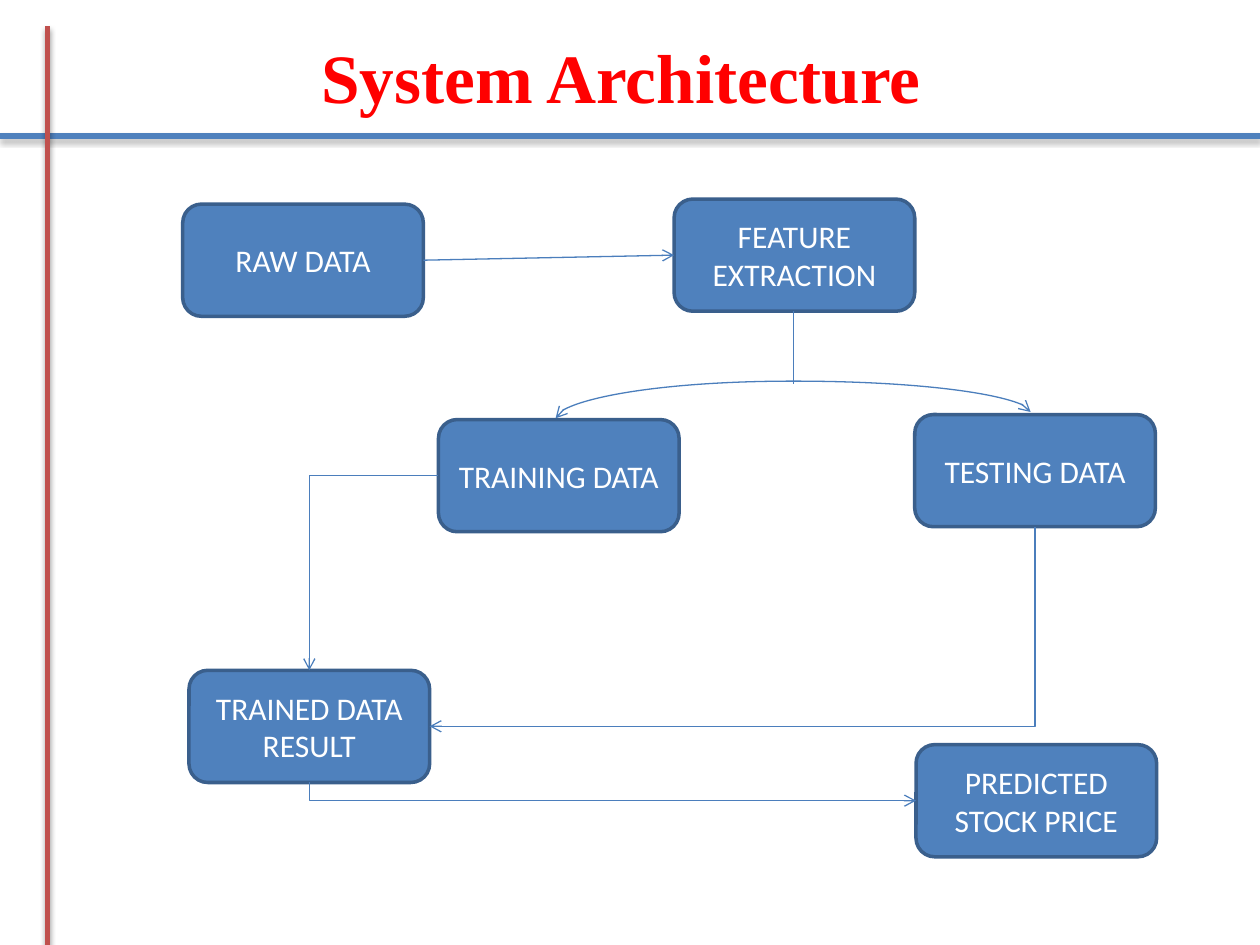
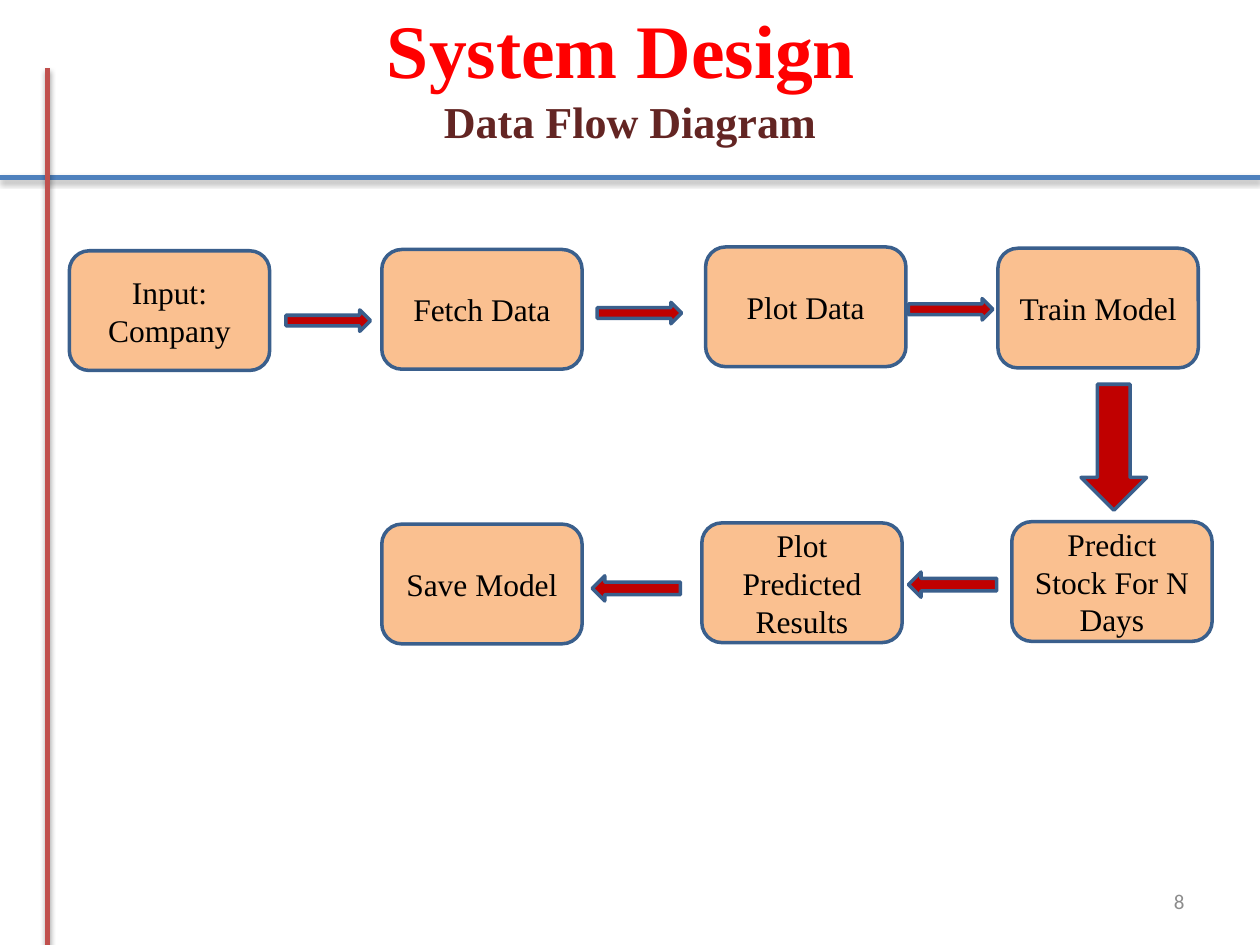
from dataclasses import dataclass
from math import cos, radians, sin

from lxml import etree
from pptx import Presentation
from pptx.dml.color import RGBColor
from pptx.enum.shapes import MSO_CONNECTOR, MSO_SHAPE
from pptx.enum.text import MSO_ANCHOR, PP_ALIGN
from pptx.oxml.ns import qn
from pptx.util import Inches, Pt

STRAIGHT, ELBOW, CURVE = MSO_CONNECTOR.STRAIGHT, MSO_CONNECTOR.ELBOW, MSO_CONNECTOR.CURVE
ROUNDED = MSO_SHAPE.ROUNDED_RECTANGLE
RIGHT_ARROW, LEFT_ARROW, DOWN_ARROW = (
    MSO_SHAPE.RIGHT_ARROW, MSO_SHAPE.LEFT_ARROW, MSO_SHAPE.DOWN_ARROW)
CENTER, RIGHT = PP_ALIGN.CENTER, PP_ALIGN.RIGHT
TOP, MIDDLE = MSO_ANCHOR.TOP, MSO_ANCHOR.MIDDLE

# Connection sites of a rounded box
SITE_TOP, SITE_LEFT, SITE_BOTTOM, SITE_RIGHT = range(4)
SITE_OFFSETS = {SITE_TOP: (0.5, 0), SITE_LEFT: (0, 0.5),
                SITE_BOTTOM: (0.5, 1), SITE_RIGHT: (1, 0.5)}
Point = tuple[float, float]


@dataclass(frozen=True)
class Theme:
    serif: str = "Times New Roman"
    sans: str = "Calibri"
    title: str = "FF0000"
    subtitle: str = "632523"
    blue: str = "4F81BD"
    outline: str = "3A5F8C"
    link: str = "4B7EBC"
    red_rule: str = "C0504D"
    peach: str = "FAC090"
    arrow: str = "C00000"
    white: str = "FFFFFF"
    black: str = "000000"
    grey: str = "8C8C8C"
    architecture_size: float = 39.6
    design_size: float = 43.2
    subtitle_size: float = 25.2
    box_size: float = 18
    number_size: float = 12


THEME = Theme()


@dataclass(frozen=True)
class TextStyle:
    font: str
    size: float
    color: str
    bold: bool = False


@dataclass(frozen=True)
class BoxStyle:
    width: float
    height: float
    fill: str
    text: TextStyle


@dataclass(frozen=True)
class Box:
    text: str
    left: float
    top: float


@dataclass(frozen=True)
class BlockArrow:
    kind: int
    left: float
    top: float
    width: float = 0.67
    height: float = 0.17


@dataclass(frozen=True)
class Link:
    source: str
    source_site: int
    target: str
    target_site: int
    kind: int = ELBOW
    rotation: int = 0


ARCHITECTURE_BOX = BoxStyle(1.91, 0.89, THEME.blue,
                            TextStyle(THEME.sans, THEME.box_size, THEME.white))
FLOW_BOX = BoxStyle(1.59, 0.95, THEME.peach,
                    TextStyle(THEME.serif, THEME.box_size, THEME.black))

ARCHITECTURE_BOXES = {
    "raw": Box("RAW DATA", 1.45, 1.62),
    "feature": Box("FEATURE\nEXTRACTION", 5.35, 1.58),
    "training": Box("TRAINING DATA", 3.48, 3.33),
    "testing": Box("TESTING DATA", 7.26, 3.29),
    "trained": Box("TRAINED DATA RESULT", 1.5, 5.32),
    "predicted": Box("PREDICTED STOCK PRICE", 7.27, 5.91),
}
ARCHITECTURE_LINKS = [
    Link("raw", SITE_RIGHT, "feature", SITE_LEFT, STRAIGHT),
    Link("training", SITE_LEFT, "trained", SITE_TOP, rotation=180),
    Link("testing", SITE_BOTTOM, "trained", SITE_RIGHT, rotation=90),
    Link("trained", SITE_BOTTOM, "predicted", SITE_LEFT, rotation=270),
]
FLOW_BOXES = [
    Box("Input: Company", 0.55, 1.99),
    Box("Fetch Data", 3.03, 1.98),
    Box("Plot Data", 5.6, 1.96),
    Box("Train Model", 7.92, 1.97),
    Box("Predict Stock For N Days", 8.03, 4.14),
    Box("Plot Predicted Results", 5.57, 4.15),
    Box("Save Model", 3.03, 4.16),
]
FLOW_ARROWS = [
    BlockArrow(RIGHT_ARROW, 2.27, 2.46),
    BlockArrow(RIGHT_ARROW, 4.74, 2.4),
    BlockArrow(RIGHT_ARROW, 7.21, 2.37),
    BlockArrow(DOWN_ARROW, 8.58, 3.05, 0.52, 1),
    BlockArrow(LEFT_ARROW, 7.21, 4.54, 0.7, 0.2),
    BlockArrow(LEFT_ARROW, 4.7, 4.57, 0.7, 0.2),
]


def write_text(frame, text: str, style: TextStyle, align: int, anchor: int) -> None:
    frame.word_wrap = True
    frame.vertical_anchor = anchor
    frame.text = text
    for paragraph in frame.paragraphs:
        paragraph.alignment = align
        font = paragraph.font
        font.name, font.size, font.bold = style.font, Pt(style.size), style.bold
        font.color.rgb = RGBColor.from_string(style.color)


def add_text(slide, text: str, left: float, top: float, width: float, height: float,
             style: TextStyle, align: int = CENTER, anchor: int = TOP) -> None:
    frame = slide.shapes.add_textbox(
        Inches(left), Inches(top), Inches(width), Inches(height)).text_frame
    frame.margin_top = frame.margin_bottom = 0
    write_text(frame, text, style, align, anchor)


def add_filled_shape(slide, kind: int, left: float, top: float,
                     width: float, height: float, fill: str):
    shape = slide.shapes.add_shape(
        kind, Inches(left), Inches(top), Inches(width), Inches(height))
    shape.shadow.inherit = False
    shape.fill.solid()
    shape.fill.fore_color.rgb = RGBColor.from_string(fill)
    shape.line.color.rgb = RGBColor.from_string(THEME.outline)
    shape.line.width = Pt(2)
    return shape


def add_box(slide, box: Box, style: BoxStyle):
    shape = add_filled_shape(slide, ROUNDED, box.left, box.top,
                             style.width, style.height, style.fill)
    write_text(shape.text_frame, box.text, style.text, CENTER, MIDDLE)
    return shape


def turn_back(point: Point, center: Point, rotation: int) -> Point:
    """Return where the point lies before the connector is rotated."""
    x, y = point[0] - center[0], point[1] - center[1]
    cosine, sine = cos(radians(rotation)), sin(radians(rotation))
    return center[0] + x * cosine + y * sine, center[1] - x * sine + y * cosine


def add_line(slide, start: Point, end: Point, color: str = THEME.link,
             width: float = 0.75, kind: int = STRAIGHT, rotation: int = 0,
             arrows: tuple[str, ...] = (), shadow: bool = False, glue=None):
    center = ((start[0] + end[0]) / 2, (start[1] + end[1]) / 2)
    begin_x, begin_y, end_x, end_y = (
        Inches(value) for point in (start, end)
        for value in turn_back(point, center, rotation))
    connector = slide.shapes.add_connector(kind, begin_x, begin_y, end_x, end_y)
    if glue:
        source, source_site, target, target_site = glue
        connector.begin_connect(source, source_site)
        connector.end_connect(target, target_site)
        connector.begin_x, connector.begin_y = begin_x, begin_y
        connector.end_x, connector.end_y = end_x, end_y
    properties = connector._element.spPr
    if kind == ELBOW:  # a single corner
        properties.find(qn("a:prstGeom")).set("prst", "bentConnector2")
    if rotation:
        properties.xfrm.set("rot", str(rotation * 60000))
    connector.line.color.rgb = RGBColor.from_string(color)
    connector.line.width = Pt(width)
    line = properties.find(qn("a:ln"))
    for arrow_end in arrows:
        etree.SubElement(line, qn(f"a:{arrow_end}"), type="arrow")
    effects = etree.SubElement(properties, qn("a:effectLst"))
    if shadow:
        outer = etree.SubElement(effects, qn("a:outerShdw"), blurRad=str(Pt(3.1)),
                                 dist=str(Pt(1.8)), dir="5400000", rotWithShape="0")
        shade = etree.SubElement(outer, qn("a:srgbClr"), val=THEME.black)
        etree.SubElement(shade, qn("a:alpha"), val="35000")
    return connector


def add_rules(slide, rule_top: float) -> None:
    """Draw the crossed blue and red rules of a slide."""
    add_line(slide, (0, rule_top), (10, rule_top), THEME.blue, 3, shadow=True)
    add_line(slide, (0.38, rule_top - 0.87), (0.38, 7.5), THEME.red_rule, 3, shadow=True)


def add_title(slide, text: str, top: float, size: float) -> None:
    add_text(slide, text, 0.43, top, 9, 0.7,
             TextStyle(THEME.serif, size, THEME.title, True))


def site_point(box: Box, site: int, style: BoxStyle) -> Point:
    across, down = SITE_OFFSETS[site]
    return box.left + across * style.width, box.top + down * style.height


def build_architecture(slide) -> None:
    add_title(slide, "System Architecture", 0.27, THEME.architecture_size)
    boxes = ARCHITECTURE_BOXES
    shapes = {name: add_box(slide, box, ARCHITECTURE_BOX) for name, box in boxes.items()}
    for link in ARCHITECTURE_LINKS:
        add_line(slide,
                 site_point(boxes[link.source], link.source_site, ARCHITECTURE_BOX),
                 site_point(boxes[link.target], link.target_site, ARCHITECTURE_BOX),
                 kind=link.kind, rotation=link.rotation, arrows=("tailEnd",),
                 glue=(shapes[link.source], link.source_site,
                       shapes[link.target], link.target_site))

    # Split of the features into training and testing data
    add_line(slide, (6.3, 2.47), (6.3, 3.05))
    split = add_line(slide, (4.41, 3.32), (8.18, 3.27), kind=CURVE, rotation=90,
                     arrows=("headEnd", "tailEnd"))
    adjustments = split._element.spPr.find(qn("a:prstGeom")).find(qn("a:avLst"))
    etree.SubElement(adjustments, qn("a:gd"), name="adj1", fmla="val 590000")
    add_rules(slide, 1.08)


def build_design(slide) -> None:
    add_title(slide, "System Design", 0.02, THEME.design_size)
    add_text(slide, "Data Flow Diagram", 0.5, 0.75, 9, 0.45,
             TextStyle(THEME.serif, THEME.subtitle_size, THEME.subtitle, True))
    add_text(slide, "8", 7.17, 6.95, 2.33, 0.4,
             TextStyle(THEME.sans, THEME.number_size, THEME.grey), RIGHT, MIDDLE)
    for box in FLOW_BOXES:
        add_box(slide, box, FLOW_BOX)
    for arrow in FLOW_ARROWS:
        add_filled_shape(slide, arrow.kind, arrow.left, arrow.top,
                         arrow.width, arrow.height, THEME.arrow)
    add_rules(slide, 1.41)


def main() -> None:
    presentation = Presentation()
    presentation.slide_width, presentation.slide_height = Inches(10), Inches(7.5)
    blank = presentation.slide_layouts[6]
    for build in (build_architecture, build_design):
        build(presentation.slides.add_slide(blank))
    presentation.save("out.pptx")


if __name__ == "__main__":
    main()
